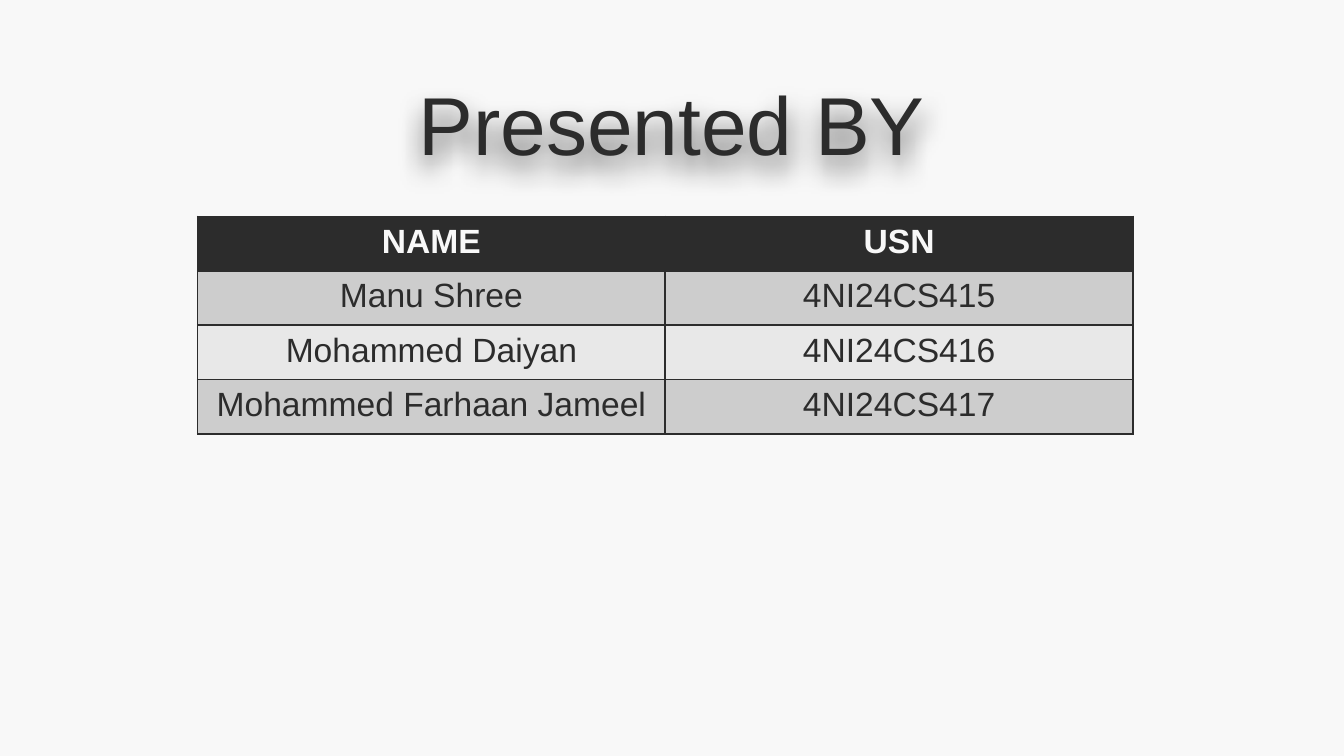
from lxml import etree
from pptx import Presentation
from pptx.dml.color import RGBColor
from pptx.enum.text import MSO_ANCHOR, PP_ALIGN
from pptx.oxml import parse_xml
from pptx.oxml.ns import nsdecls, qn
from pptx.util import Inches, Pt

TITLE = "Presented BY"
HEADER = ("NAME", "USN")
STUDENTS = [
    ("Manu Shree", "4NI24CS415"),
    ("Mohammed Daiyan", "4NI24CS416"),
    ("Mohammed Farhaan Jameel", "4NI24CS417"),
]

FONT = "Arial"
DARK = RGBColor(0x2C, 0x2C, 0x2C)
LIGHT = RGBColor(0xF8, 0xF8, 0xF8)
BANDS = (RGBColor(0xCD, 0xCD, 0xCD), RGBColor(0xE8, 0xE8, 0xE8))


def write(frame, text, *, size, color=DARK, bold=False, line_spacing=None):
    paragraph = frame.paragraphs[0]
    paragraph.alignment = PP_ALIGN.CENTER
    paragraph.line_spacing = line_spacing
    run = paragraph.add_run()
    run.text = text
    run.font.name = FONT
    run.font.size = Pt(size)
    run.font.bold = bold
    run.font.color.rgb = color


def add_soft_shadow(shape):
    shape._element.spPr.append(parse_xml(
        f'<a:effectLst {nsdecls("a")}>'
        f'<a:outerShdw blurRad="{Inches(0.2)}" dist="{Inches(0.1)}" dir="5400000" '
        'algn="t" rotWithShape="0"><a:srgbClr val="000000"><a:alpha val="63000"/>'
        '</a:srgbClr></a:outerShdw></a:effectLst>'))


def add_borders(cell, color, width):
    properties = cell._tc.get_or_add_tcPr()
    for position, side in enumerate(("lnL", "lnR", "lnT", "lnB")):
        line = etree.Element(qn(f"a:{side}"), w=str(Pt(width)))
        fill = etree.SubElement(line, qn("a:solidFill"))
        etree.SubElement(fill, qn("a:srgbClr"), val=str(color))
        properties.insert(position, line)


def add_title(slide):
    title = slide.shapes.title
    title.left, title.top = Inches(1.76), Inches(0.31)
    title.width, title.height = Inches(6.48), Inches(1.3)
    frame = title.text_frame
    frame.margin_left = frame.margin_right = frame.margin_top = frame.margin_bottom = 0
    frame.vertical_anchor = MSO_ANCHOR.MIDDLE
    write(frame, TITLE, size=44, line_spacing=0.9)
    add_soft_shadow(title)


def add_students(slide):
    rows = [HEADER, *STUDENTS]
    table = slide.shapes.add_table(
        len(rows), len(HEADER),
        Inches(1.47), Inches(1.61), Inches(6.96), Inches(1.62)).table
    for r, row in enumerate(rows):
        is_header = r == 0
        for c, text in enumerate(row):
            cell = table.cell(r, c)
            cell.fill.solid()
            cell.fill.fore_color.rgb = DARK if is_header else BANDS[(r - 1) % 2]
            write(cell.text_frame, text, size=18, bold=is_header,
                  color=LIGHT if is_header else DARK)
            add_borders(cell, DARK, 1)


def main():
    deck = Presentation()
    deck.slide_width = Inches(10)
    deck.slide_height = deck.slide_width * 9 // 16
    slide = deck.slides.add_slide(deck.slide_layouts.get_by_name("Title Only"))
    slide.background.fill.solid()
    slide.background.fill.fore_color.rgb = LIGHT
    add_title(slide)
    add_students(slide)
    deck.save("out.pptx")


if __name__ == "__main__":
    main()
